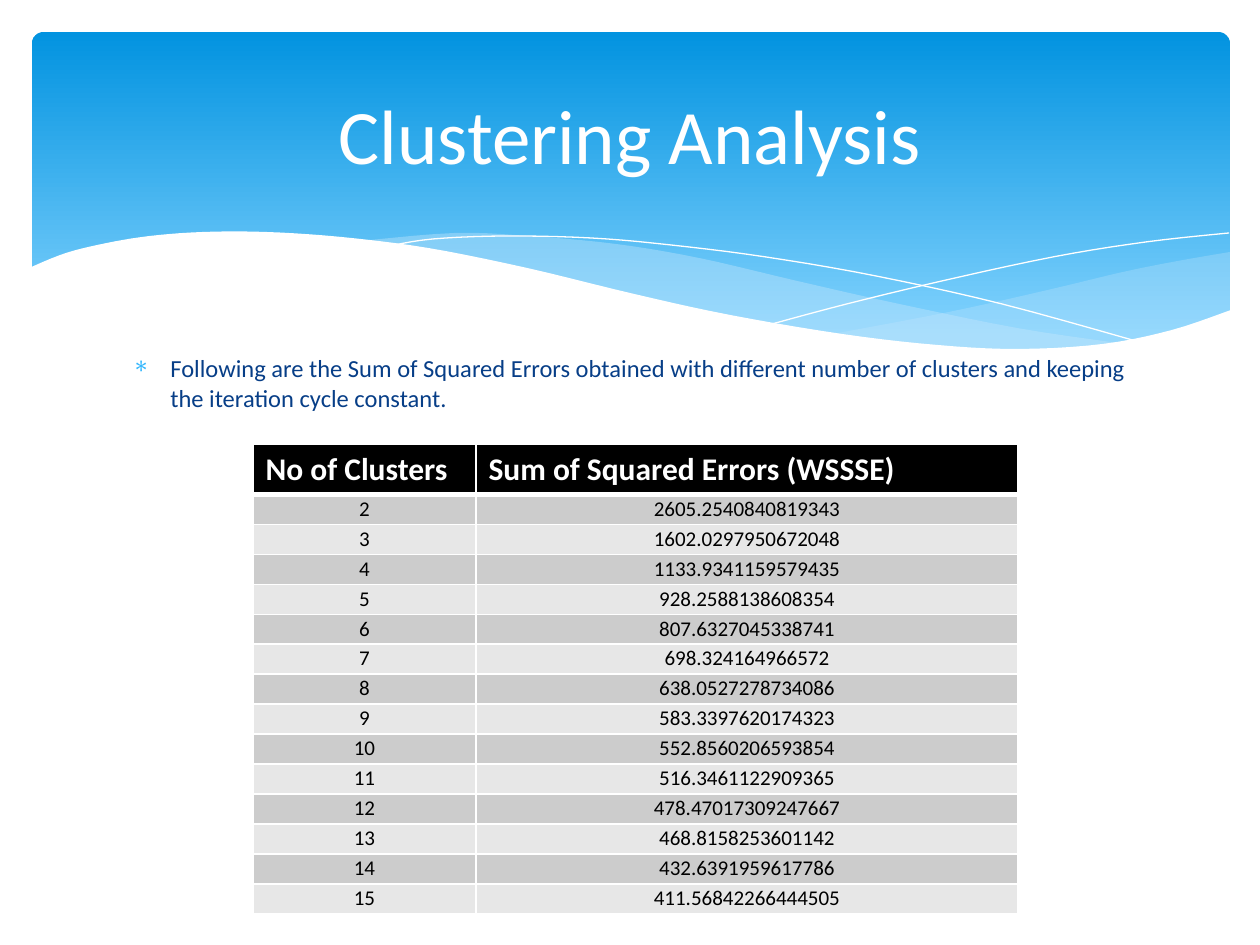
from lxml.etree import SubElement
from pptx import Presentation
from pptx.dml.color import RGBColor
from pptx.enum.shapes import MSO_SHAPE
from pptx.enum.text import MSO_ANCHOR, PP_ALIGN
from pptx.oxml.ns import qn
from pptx.util import Emu, Pt

EMU_PER_PX = 914400 / 126
FONT = "Calibri"
COLORS = {
    "white": "FFFFFF", "black": "000000", "navy": "073E87", "bullet": "31B6FD",
    "sky_top": "0293E0", "sky_bottom": "83D3FE", "wave": "C6E7FC",
    "odd_row": "CCCCCC", "even_row": "E7E7E7",
}

RIGHT_WAVE = [
    [(1230, 252), (1178, 261), (1123, 272), (1048, 290), (949, 312), (833, 334)],
    [(833, 334), (906, 343), (984, 349), (1063, 349), (1130, 340), (1187, 326), (1230, 311)],
]
MIDDLE_WAVE = [
    [(1125, 344), (1017, 328), (890, 302), (793, 280), (699, 258), (616, 244),
     (529, 236), (455, 233), (360, 241)],
    [(360, 241), (456, 256), (566, 280), (713, 312), (819, 333), (910, 345),
     (989, 350), (1068, 349), (1125, 344)],
]
FALLING_LINE = [(389, 246), (433, 239), (505, 236), (591, 238), (671, 245),
                (766, 257), (876, 276), (1002, 304), (1143, 343)]
RISING_LINE = [(772, 324), (847, 304), (942, 281), (1053, 257), (1146, 242), (1229, 233)]
WHITE_WAVE = [
    [(1231, 310), (1172, 330), (1103, 344), (1019, 349), (937, 345), (842, 334),
     (730, 315), (634, 294), (527, 268), (428, 248), (341, 237), (266, 232),
     (203, 232), (150, 236), (107, 243), (66, 253), (29, 268)],
    [(29, 415), (1231, 415)],
]
HEADINGS = ["No of Clusters", "Sum of Squared Errors (WSSSE)"]
ERRORS = [
    "2605.2540840819343", "1602.0297950672048", "1133.9341159579435",
    "928.2588138608354", "807.6327045338741", "698.324164966572",
    "638.0527278734086", "583.3397620174323", "552.8560206593854",
    "516.3461122909365", "478.47017309247667", "468.8158253601142",
    "432.6391959617786", "411.56842266444505",
]


def px(length):
    return Emu(round(length * EMU_PER_PX))


def rgb(name):
    return RGBColor.from_string(COLORS[name])


def smooth_curve(knots, steps=5):
    padded = [knots[0], *knots, knots[-1]]
    points = [knots[0]]
    for a, b, c, d in zip(padded, padded[1:], padded[2:], padded[3:]):
        for step in range(1, steps + 1):
            t = step / steps
            points.append(tuple(
                (2 * q + (r - p) * t + (2 * p - 5 * q + 4 * r - s) * t ** 2
                 + (3 * q - p - 3 * r + s) * t ** 3) / 2
                for p, q, r, s in zip(a, b, c, d)))
    return points


class SlideBuilder:
    def __init__(self, slide, font):
        self.slide = slide
        self.font = font

    def run(self, paragraph, text, size, color, bold=False):
        run = paragraph.add_run()
        run.text = text
        run.font.name = self.font
        run.font.size = Pt(size)
        run.font.bold = bold
        run.font.color.rgb = rgb(color)

    def header(self, left, top, width, height):
        shape = self.slide.shapes.add_shape(
            MSO_SHAPE.ROUNDED_RECTANGLE, px(left), px(top), px(width), px(height))
        shape.adjustments[0] = 0.034
        shape.shadow.inherit = False
        shape.line.fill.background()
        shape.fill.gradient()
        shape.fill.gradient_angle = 270
        stops = zip(shape.fill.gradient_stops, [("sky_top", 0), ("sky_bottom", 0.9)])
        for stop, (color, position) in stops:
            stop.color.rgb = rgb(color)
            stop.position = position

    def outline(self, edges, closed):
        points = [(px(x), px(y)) for edge in edges for x, y in smooth_curve(edge)]
        builder = self.slide.shapes.build_freeform(*points[0])
        builder.add_line_segments(points[1:], close=closed)
        shape = builder.convert_to_shape()
        shape.shadow.inherit = False
        return shape

    def wave(self, edges, color, opacity=100):
        shape = self.outline(edges, True)
        shape.line.fill.background()
        shape.fill.solid()
        shape.fill.fore_color.rgb = rgb(color)
        if opacity < 100:
            fill_color = next(shape.element.spPr.iter(qn("a:srgbClr")))
            SubElement(fill_color, qn("a:alpha"), val=str(opacity * 1000))

    def curved_line(self, knots, color):
        shape = self.outline([knots], False)
        shape.fill.background()
        shape.line.color.rgb = rgb(color)
        shape.line.width = Pt(0)

    def text(self, box, text, size, color, align, anchor):
        shape = self.slide.shapes.add_textbox(*map(px, box))
        frame = shape.text_frame
        frame.word_wrap = True
        frame.vertical_anchor = anchor
        paragraph = frame.paragraphs[0]
        paragraph.alignment = align
        self.run(paragraph, text, size, color)
        return paragraph

    def bullet_text(self, box, text, size, color):
        paragraph = self.text(box, text, size, color, PP_ALIGN.LEFT, MSO_ANCHOR.TOP)
        paragraph.space_before = Pt(3)
        properties = paragraph._p.get_or_add_pPr()
        properties.set("marL", str(px(38)))
        properties.set("indent", str(-px(38)))
        bullet_color = SubElement(properties, qn("a:buClr"))
        SubElement(bullet_color, qn("a:srgbClr"), val=COLORS["bullet"])
        SubElement(properties, qn("a:buChar"), char="∗")

    def borders(self, cell, widths):
        properties = cell._tc.get_or_add_tcPr()
        for side, width in zip("LRTB", widths):
            line = SubElement(properties, qn(f"a:ln{side}"), w=str(Pt(width)))
            fill = SubElement(line, qn("a:solidFill"))
            SubElement(fill, qn("a:srgbClr"), val=COLORS["white"])

    def cell(self, cell, text, row):
        heading = row == 0
        self.borders(cell, (1, 1, 3 if row == 1 else 1, 3 if heading else 1))
        cell.fill.solid()
        fill = "black" if heading else "odd_row" if row % 2 else "even_row"
        cell.fill.fore_color.rgb = rgb(fill)
        paragraph = cell.text_frame.paragraphs[0]
        if heading:
            self.run(paragraph, text, 18, "white", True)
            return
        cell.margin_left = cell.margin_right = px(9)
        cell.margin_top = cell.margin_bottom = 0
        paragraph.alignment = PP_ALIGN.CENTER
        paragraph.line_spacing = 1.07
        self.run(paragraph, text, 12, "black")

    def table(self, left, top, widths, heights, rows):
        table = self.slide.shapes.add_table(
            len(rows), len(widths), px(left), px(top),
            px(sum(widths)), px(sum(heights))).table
        for column, width in zip(table.columns, widths):
            column.width = px(width)
        for index, (row, height, values) in enumerate(zip(table.rows, heights, rows)):
            row.height = px(height)
            for cell, value in zip(row.cells, values):
                self.cell(cell, value, index)


def main():
    presentation = Presentation()
    presentation.slide_width, presentation.slide_height = px(1260), px(945)
    slide = presentation.slides.add_slide(presentation.slide_layouts[6])
    builder = SlideBuilder(slide, FONT)
    builder.header(32, 32, 1198, 340)
    builder.wave(RIGHT_WAVE, "wave", 29)
    builder.wave(MIDDLE_WAVE, "wave", 40)
    builder.curved_line(FALLING_LINE, "white")
    builder.curved_line(RISING_LINE, "white")
    builder.wave(WHITE_WAVE, "white")
    builder.bullet_text(
        (120, 347, 1021, 498),
        "Following are the Sum of Squared Errors obtained with different number of "
        "clusters and keeping the iteration cycle constant.", 14, "navy")
    builder.text((63, 47, 1134, 173), "Clustering Analysis", 44, "white",
                 PP_ALIGN.CENTER, MSO_ANCHOR.MIDDLE)
    rows = [HEADINGS] + [[str(count), error] for count, error in enumerate(ERRORS, 2)]
    builder.table(253, 444, [223, 542], [49] + [30] * len(ERRORS), rows)
    presentation.save("out.pptx")


if __name__ == "__main__":
    main()
